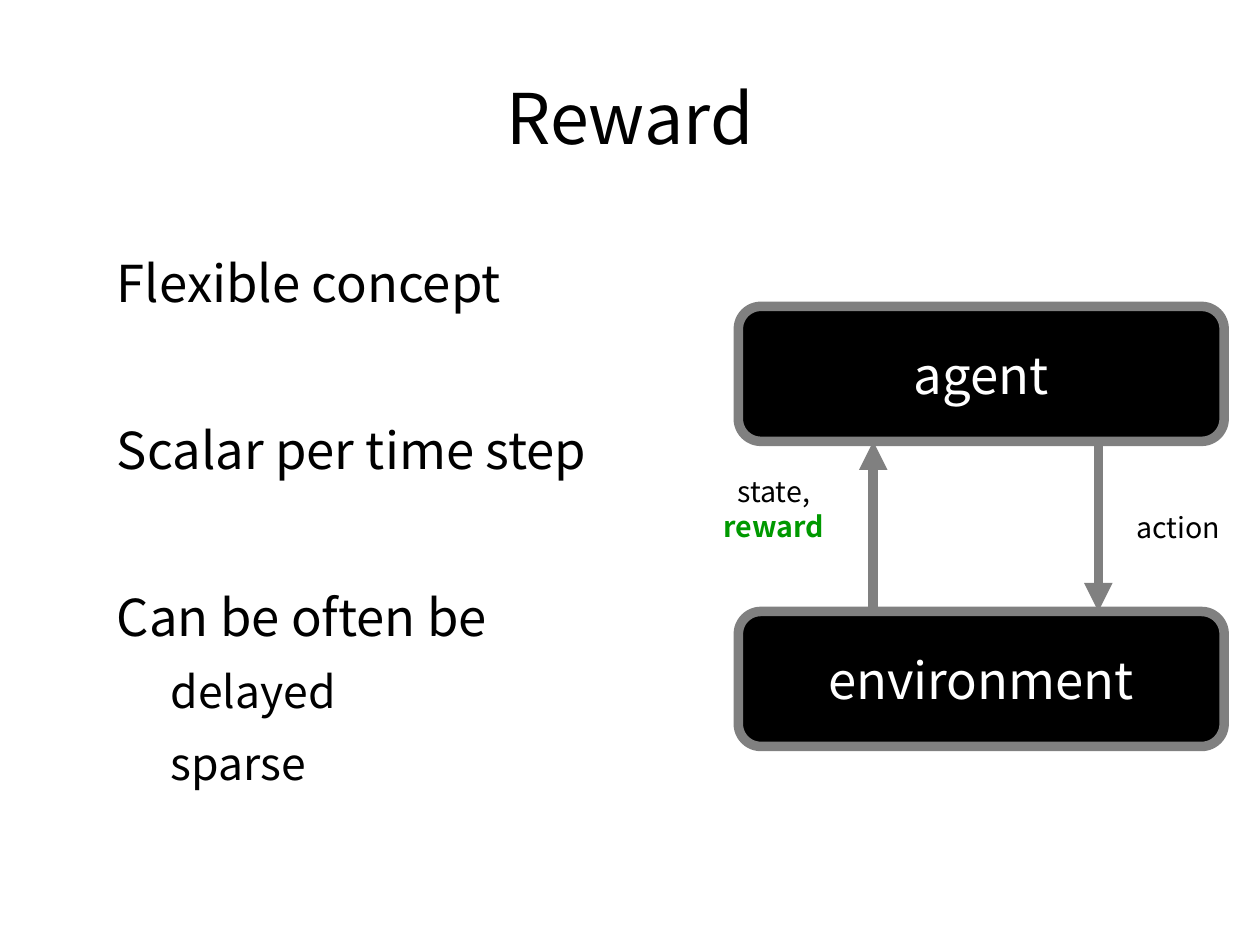
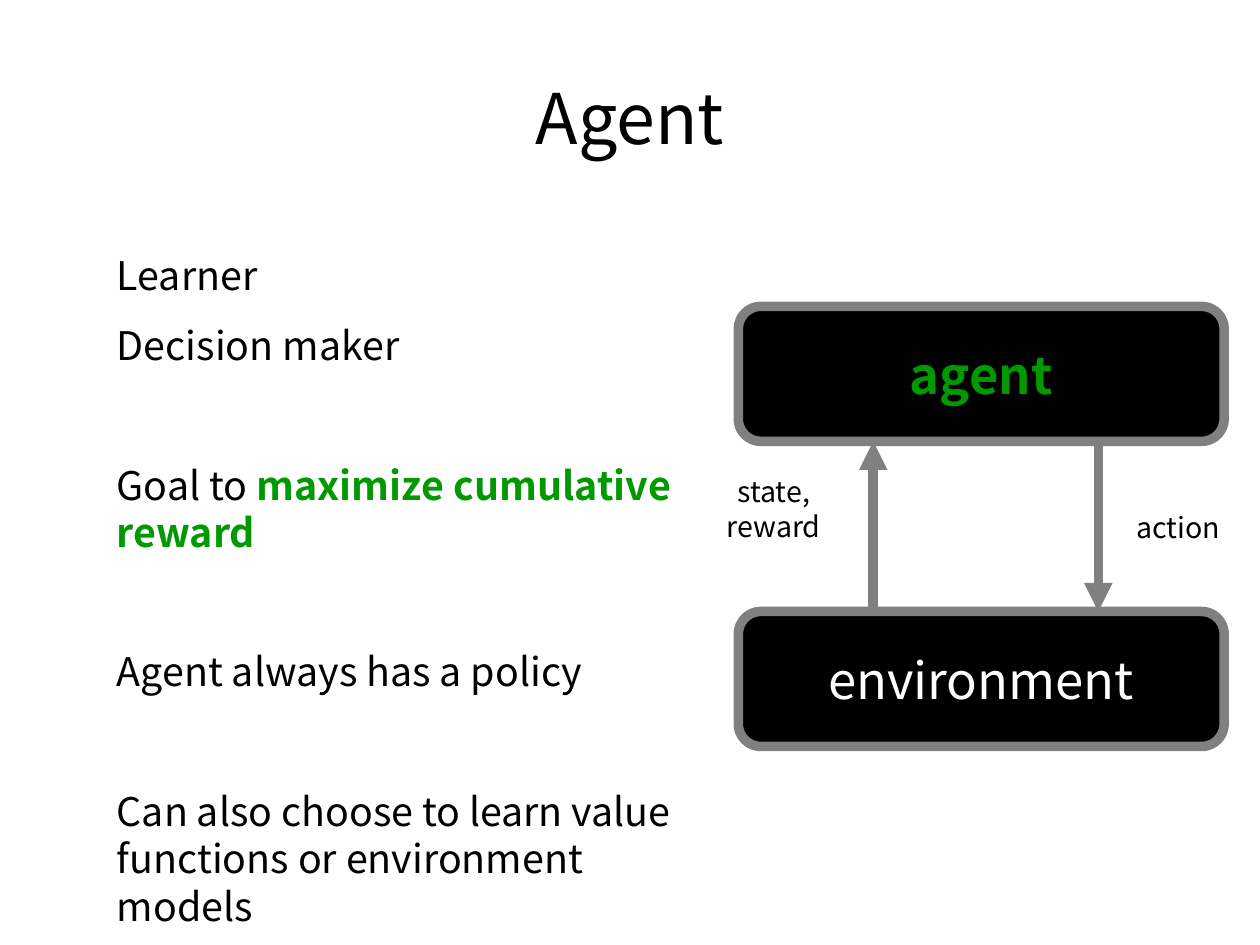
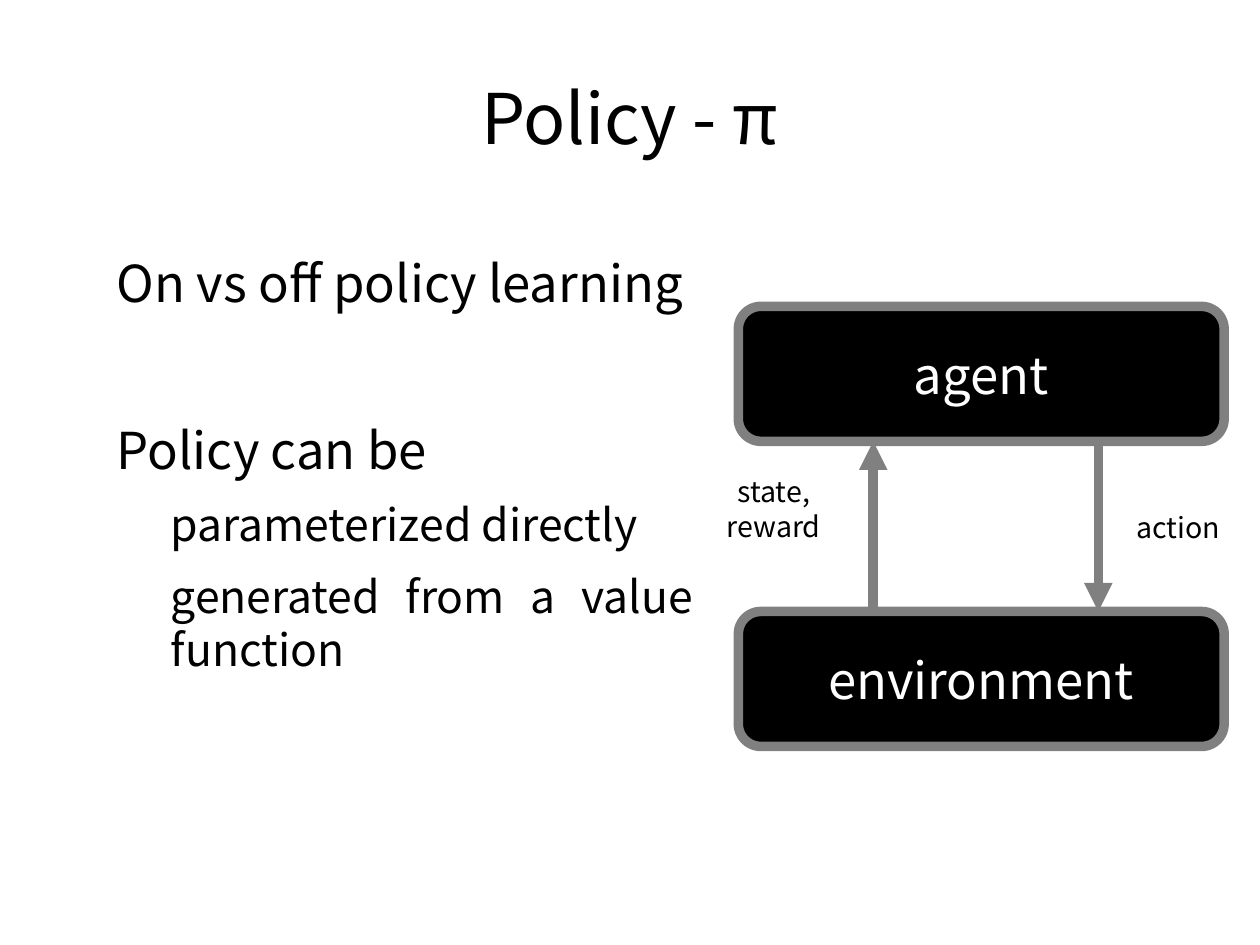
import pptx
import pptx.util
import pptx.dml.color
import pptx.enum.shapes
import pptx.enum.text
import pptx.oxml.ns
from lxml import etree

Pt = pptx.util.Pt
RGBColor = pptx.dml.color.RGBColor
Align = pptx.enum.text.PP_ALIGN
Anchor = pptx.enum.text.MSO_ANCHOR
qn = pptx.oxml.ns.qn

FONT = "Noto Sans CJK JP"
BLACK = RGBColor(0x00, 0x00, 0x00)
WHITE = RGBColor(0xFF, 0xFF, 0xFF)
GRAY = RGBColor(0x80, 0x80, 0x80)
GREEN = RGBColor(0x00, 0x99, 0x00)

SLIDE_WIDTH, SLIDE_HEIGHT = 793.7, 595.3
MARGIN = 39.6
INDENT = 34
ITEM_SPACE, SUBITEM_SPACE = 14.2, 11.3
LINE_HEIGHT = 1.2

NODE_LEFT, NODE_WIDTH, NODE_HEIGHT = 465.1, 306, 85
AGENT_TOP, ENVIRONMENT_TOP = 193, 385.2
STATE_X, ACTION_X = 550.1, 691.9
LABEL_WIDTH, LABEL_HEIGHT = 79.2, 96.5
LINE_WIDTH = 6


def format_run(run, size, color=BLACK, bold=False):
    run.font.name = FONT
    run.font.size = Pt(size)
    run.font.color.rgb = color
    run.font.bold = bold


def fill_paragraph(paragraph, text, size, color=BLACK, emphasis="", align=Align.LEFT):
    paragraph.alignment = align
    plain = text.removesuffix(emphasis)
    if plain:
        paragraph.text = plain
        format_run(paragraph.runs[0], size, color)
    if emphasis:
        run = paragraph.add_run()
        run.text = emphasis
        format_run(run, size, GREEN, True)


def set_frame(frame, horizontal, vertical, anchor, wrap=True):
    frame.margin_left = frame.margin_right = Pt(horizontal)
    frame.margin_top = frame.margin_bottom = Pt(vertical)
    frame.vertical_anchor = anchor
    frame.word_wrap = wrap


def add_text_box(slide, left, top, width, height, horizontal=0, vertical=0, anchor=Anchor.MIDDLE):
    shape = slide.shapes.add_textbox(Pt(left), Pt(top), Pt(width), Pt(height))
    set_frame(shape.text_frame, horizontal, vertical, anchor)
    return shape.text_frame


def next_paragraph(frame, index):
    return frame.add_paragraph() if index else frame.paragraphs[0]


def add_title(slide, text):
    frame = add_text_box(slide, MARGIN, 23.8, SLIDE_WIDTH - 2 * MARGIN, 99.4)
    fill_paragraph(frame.paragraphs[0], text, 44, align=Align.CENTER)


def add_body(slide, groups, size, width, emphasis, align):
    frame = add_text_box(slide, MARGIN, 158.4, width, 408.2, anchor=Anchor.TOP)
    group_space = 2 * ITEM_SPACE + LINE_HEIGHT * size
    items = [(group, row, item) for group, rows in enumerate(groups) for row, item in enumerate(rows)]
    for index, (group, row, (level, text)) in enumerate(items):
        paragraph = next_paragraph(frame, index)
        properties = paragraph._p.get_or_add_pPr()
        properties.set("marL", str(Pt(INDENT * (level + 1))))
        properties.set("indent", "0")
        if index:
            inner_space = SUBITEM_SPACE if level else ITEM_SPACE
            paragraph.space_before = Pt(inner_space if row else group_space)
        marked = emphasis if emphasis and text.endswith(emphasis) else ""
        fill_paragraph(paragraph, text, 28 if level else size, emphasis=marked, align=align)


def add_node(slide, top, text, emphasis):
    shape = slide.shapes.add_shape(
        pptx.enum.shapes.MSO_SHAPE.ROUNDED_RECTANGLE,
        Pt(NODE_LEFT), Pt(top), Pt(NODE_WIDTH), Pt(NODE_HEIGHT))
    shape.shadow.inherit = False
    shape.fill.solid()
    shape.fill.fore_color.rgb = BLACK
    shape.line.color.rgb = GRAY
    shape.line.width = Pt(LINE_WIDTH)
    set_frame(shape.text_frame, 10, 6.5, Anchor.MIDDLE, False)
    marked = text if text == emphasis else ""
    fill_paragraph(shape.text_frame.paragraphs[0], text, 32, WHITE, marked, Align.CENTER)


def add_arrow(slide, x, start, end):
    connector = slide.shapes.add_connector(
        pptx.enum.shapes.MSO_CONNECTOR.STRAIGHT, Pt(x), Pt(start), Pt(x), Pt(end))
    connector.line.color.rgb = GRAY
    connector.line.width = Pt(LINE_WIDTH)
    tail = etree.SubElement(connector.line._get_or_add_ln(), qn("a:tailEnd"))
    tail.set("type", "triangle")
    etree.SubElement(connector._element.spPr, qn("a:effectLst"))


def add_label(slide, left, top, lines, emphasis):
    frame = add_text_box(slide, left, top, LABEL_WIDTH, LABEL_HEIGHT, 7.2, 3.6)
    for index, text in enumerate(lines):
        marked = text if text == emphasis else ""
        fill_paragraph(next_paragraph(frame, index), text, 18, emphasis=marked, align=Align.CENTER)


def add_cycle(slide, emphasis):
    agent_bottom = AGENT_TOP + NODE_HEIGHT
    add_node(slide, ENVIRONMENT_TOP, "environment", emphasis)
    add_node(slide, AGENT_TOP, "agent", emphasis)
    add_arrow(slide, STATE_X, ENVIRONMENT_TOP, agent_bottom)
    add_arrow(slide, ACTION_X, agent_bottom, ENVIRONMENT_TOP)
    add_label(slide, 702.7, 283.7, ["action"], emphasis)
    add_label(slide, 447.8, 272.2, ["state,", "reward"], emphasis)


def add_topic(presentation, title, groups, size=32, width=396.7, body_emphasis="",
              cycle_emphasis="", align=Align.LEFT):
    slide = presentation.slides.add_slide(presentation.slide_layouts[6])
    add_title(slide, title)
    add_body(slide, groups, size, width, body_emphasis, align)
    add_cycle(slide, cycle_emphasis)


def main():
    presentation = pptx.Presentation()
    presentation.slide_width = Pt(SLIDE_WIDTH)
    presentation.slide_height = Pt(SLIDE_HEIGHT)
    add_topic(presentation, "Reward", [
        [(0, "Flexible concept")],
        [(0, "Scalar per time step")],
        [(0, "Can be often be"), (1, "delayed"), (1, "sparse")],
    ], cycle_emphasis="reward")
    add_topic(presentation, "Agent", [
        [(0, "Learner"), (0, "Decision maker")],
        [(0, "Goal to maximize cumulative reward")],
        [(0, "Agent always has a policy")],
        [(0, "Can also choose to learn value functions or environment models")],
    ], size=24.8, width=402.5, body_emphasis="maximize cumulative reward", cycle_emphasis="agent")
    add_topic(presentation, "Policy - π", [
        [(0, "On vs off policy learning")],
        [(0, "Policy can be"), (1, "parameterized directly"), (1, "generated from a value function")],
    ], align=Align.JUSTIFY)
    presentation.save("out.pptx")


if __name__ == "__main__":
    main()
